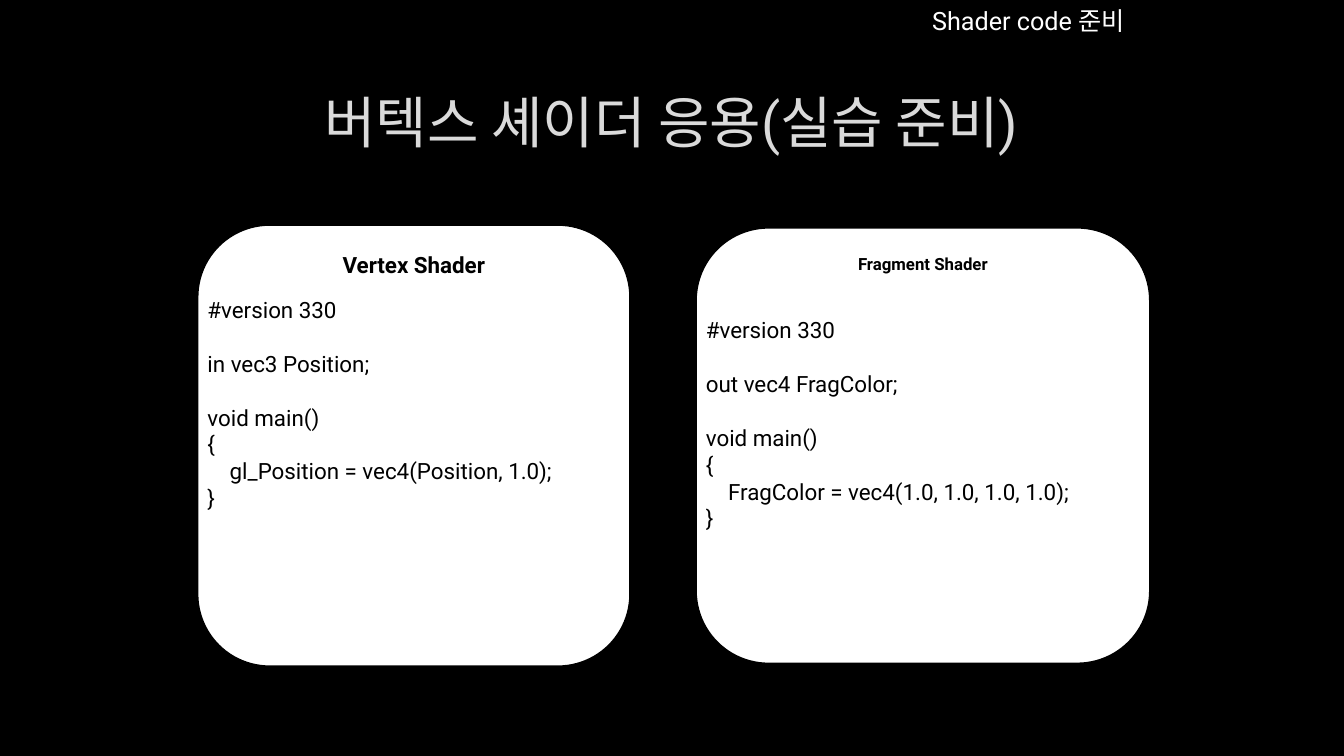
from lxml.etree import SubElement
from pptx import Presentation
from pptx.dml.color import RGBColor
from pptx.enum.shapes import MSO_SHAPE as Shape
from pptx.enum.text import MSO_ANCHOR as Anchor, MSO_AUTO_SIZE as AutoSize, PP_ALIGN as Align
from pptx.oxml.ns import qn
from pptx.util import Cm, Pt

COLORS = {"black": "000000", "white": "FFFFFF", "title": "DADADA", "outline": "404040"}
FONT = "Roboto"
CODE_SIZE = 16
CODE_GAP = Pt(19.2)
CODE_INDENT = Cm(0.56)

# Each program is a list of blocks; a gap separates one block from the next.
VERTEX_CODE = [
    ["#version 330"],
    ["in vec3 Position;"],
    ["void main()", "{", "\tgl_Position = vec4(Position, 1.0);", "}"],
]
FRAGMENT_CODE = [
    ["#version 330"],
    ["out vec4 FragColor;"],
    ["void main()", "{", "\tFragColor = vec4(1.0, 1.0, 1.0, 1.0);", "}"],
]


def rgb(name):
    return RGBColor.from_string(COLORS[name])


class ShaderSlide:
    def __init__(self, deck):
        self.slide = deck.slides.add_slide(deck.slide_layouts[5])
        fill = self.slide.background.fill
        fill.solid()
        fill.fore_color.rgb = rgb("black")

    def style(self, para, size, color, bold=False):
        for span in para.runs:
            span.font.name = FONT
            span.font.size = Pt(size)
            span.font.bold = bold
            span.font.color.rgb = rgb(color)

    def title(self, text, left, top, width, height):
        box = self.slide.shapes.title
        box.left, box.top, box.width, box.height = map(Cm, (left, top, width, height))
        frame = box.text_frame
        frame.text = text
        frame.vertical_anchor = Anchor.MIDDLE
        para = frame.paragraphs[0]
        para.alignment = Align.CENTER
        self.style(para, 40, "title")
        self.outline(para.runs[0])

    def outline(self, span):
        """Give the letters a thin, mostly transparent outline."""
        properties = span.font._element
        line = SubElement(properties, qn("a:ln"), w=str(Pt(0.75)))
        properties.insert(0, line)
        fill = SubElement(line, qn("a:solidFill"))
        color = SubElement(fill, qn("a:srgbClr"), val=COLORS["outline"])
        SubElement(color, qn("a:alpha"), val="10000")

    def text_box(self, left, top, width, height):
        box = self.slide.shapes.add_textbox(*map(Cm, (left, top, width, height)))
        frame = box.text_frame
        frame.word_wrap = True
        frame.auto_size = AutoSize.SHAPE_TO_FIT_TEXT
        return frame

    def label(self, text, left, top, width, height):
        frame = self.text_box(left, top, width, height)
        frame.text = text
        self.style(frame.paragraphs[0], 18, "white")

    def card(self, heading, size, left, top, width, height):
        card = self.slide.shapes.add_shape(
            Shape.ROUNDED_RECTANGLE, *map(Cm, (left, top, width, height)))
        card.shadow.inherit = False
        card.fill.solid()
        card.fill.fore_color.rgb = rgb("white")
        card.line.color.rgb = rgb("black")
        card.line.width = Pt(1.25)
        frame = card.text_frame
        frame.text = heading
        frame.vertical_anchor = Anchor.TOP
        para = frame.paragraphs[0]
        para.alignment = Align.CENTER
        self.style(para, size, "black", bold=True)

    def code(self, blocks, left, top, width, height):
        """Write code blocks; a leading tab becomes a paragraph indent."""
        frame = self.text_box(left, top, width, height)
        lines = [(line, number > 0 and index == 0)
                 for number, block in enumerate(blocks)
                 for index, line in enumerate(block)]
        for position, (line, starts_block) in enumerate(lines):
            para = frame.add_paragraph() if position else frame.paragraphs[0]
            para.text = line.lstrip("\t")
            if starts_block:
                para.space_before = CODE_GAP
            if line.startswith("\t"):
                para._p.get_or_add_pPr().set("marL", str(CODE_INDENT))
            self.style(para, CODE_SIZE, "black")


def main():
    deck = Presentation()
    deck.slide_width, deck.slide_height = Cm(33.87), Cm(19.05)
    page = ShaderSlide(deck)
    page.title("버텍스 셰이더 응용(실습 준비)", 2.54, 1.7, 28.75, 2.69)
    page.card("Fragment Shader", 12, 17.54, 5.74, 11.44, 10.98)
    page.code(FRAGMENT_CODE, 17.54, 7.85, 11.44, 5.74)
    page.card("Vertex Shader", 16, 4.98, 5.67, 10.9, 11.12)
    page.code(VERTEX_CODE, 4.98, 7.34, 10.9, 5.89)
    page.label("Shader code 준비", 23.24, 0, 6.4, 1.02)
    deck.save("out.pptx")


if __name__ == "__main__":
    main()
